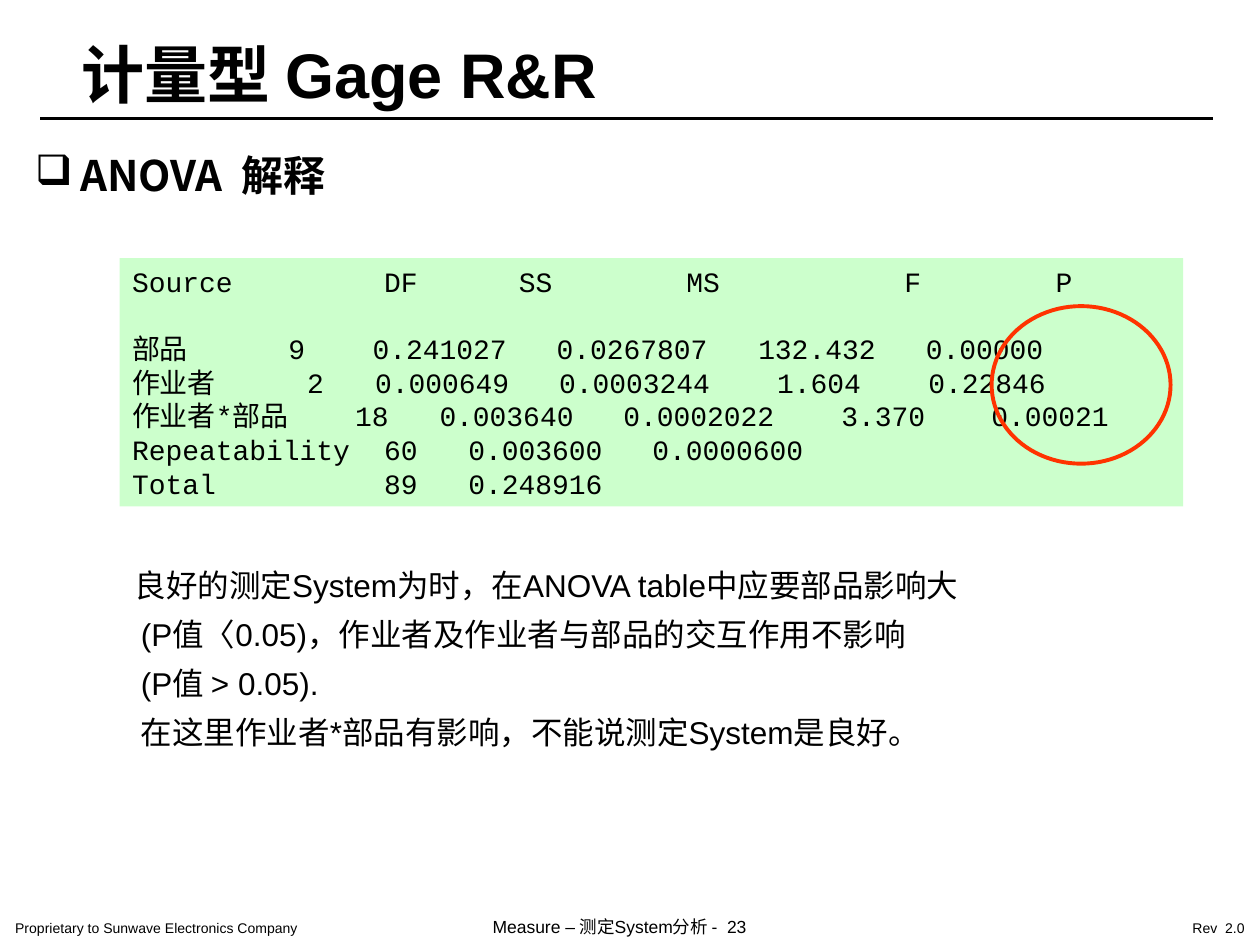
from dataclasses import dataclass

from lxml.etree import SubElement
from pptx import Presentation
from pptx.dml.color import RGBColor
from pptx.enum.shapes import MSO_CONNECTOR, MSO_SHAPE
from pptx.enum.text import MSO_ANCHOR, MSO_AUTO_SIZE, PP_ALIGN
from pptx.oxml.ns import qn
from pptx.util import Inches, Pt

SLIDE_WIDTH, SLIDE_HEIGHT = Inches(10), Inches(7.5)
CJK_FONT = "Noto Sans CJK SC"
BLACK, GREEN, RED = "000000", "CCFFCC", "FF3300"


@dataclass(frozen=True)
class Area:
    """A rectangle in percent of the slide's width and height."""
    left: float
    top: float
    width: float
    height: float

    def lengths(self) -> tuple[int, int, int, int]:
        return (across(self.left), down(self.top),
                across(self.width), down(self.height))


@dataclass(frozen=True)
class Style:
    font: str
    size: int
    bold: bool = False


@dataclass(frozen=True)
class Footer:
    text: str
    area: Area
    size: int
    alignment: PP_ALIGN = PP_ALIGN.LEFT


@dataclass(frozen=True)
class AnovaRow:
    cells: tuple[str, ...]
    stops: tuple[float, ...]  # tab stops in percent of the slide's width
    space_before: int = 0


def across(share: float) -> int:
    return round(SLIDE_WIDTH * share / 100)


def down(share: float) -> int:
    return round(SLIDE_HEIGHT * share / 100)


def color(value: str) -> RGBColor:
    return RGBColor.from_string(value)


def add_run(paragraph, text: str, style: Style) -> None:
    run = paragraph.add_run()
    run.text = text
    run.font.name, run.font.size, run.font.bold = style.font, Pt(style.size), style.bold
    run.font.color.rgb = color(BLACK)
    SubElement(run._r.get_or_add_rPr(), qn("a:ea"), typeface=CJK_FONT)


def set_indent(paragraph, margin: float, first_line: float = 0) -> None:
    properties = paragraph._p.get_or_add_pPr()
    properties.set("marL", str(across(margin)))
    properties.set("indent", str(across(first_line)))


def set_frame(frame, horizontal: float = 0.1, vertical: float = 0.05) -> None:
    frame.word_wrap = True
    frame.auto_size = MSO_AUTO_SIZE.NONE
    frame.vertical_anchor = MSO_ANCHOR.TOP
    frame.margin_left = frame.margin_right = Inches(horizontal)
    frame.margin_top = frame.margin_bottom = Inches(vertical)


def add_text_box(slide, area: Area, *margins: float):
    frame = slide.shapes.add_textbox(*area.lengths()).text_frame
    set_frame(frame, *margins)
    return frame


def next_paragraph(frame, index: int):
    return frame.add_paragraph() if index else frame.paragraphs[0]


def add_footer(slide, footer: Footer) -> None:
    paragraph = add_text_box(slide, footer.area, 0.12, 0.06).paragraphs[0]
    paragraph.alignment = footer.alignment
    add_run(paragraph, footer.text, Style("Arial", footer.size))


def add_anova_row(paragraph, row: AnovaRow) -> None:
    paragraph.alignment = PP_ALIGN.LEFT
    if row.space_before:
        paragraph.space_before = Pt(row.space_before)
    tab_list = SubElement(paragraph._p.get_or_add_pPr(), qn("a:tabLst"))
    for stop in row.stops:
        SubElement(tab_list, qn("a:tab"), pos=str(across(stop)), algn="l")
    add_run(paragraph, "\t".join(row.cells), Style("Courier New", 16))


FOOTERS = (
    Footer("Proprietary to Sunwave Electronics Company", Area(0, 96.53, 32.1, 3.33), 8),
    Footer("Measure – 测定System分析 -  23", Area(37.9, 96.13, 28.7, 3.87), 10),
    Footer("Rev  2.0", Area(85, 96.53, 15, 3.33), 8, PP_ALIGN.RIGHT),
)

ANOVA_ROWS = (
    AnovaRow(("Source", "DF", "SS", "MS", "F", "P"), (20, 30.7, 44, 61.3, 73.3)),
    AnovaRow(("部品", "9", "0.241027", "0.0267807", "132.432", "0.00000"),
             (12.4, 19.1, 33.7, 49.7, 63), space_before=19),
    AnovaRow(("作业者", "2", "0.000649", "0.0003244", "1.604", "0.22846"),
             (13.9, 19.3, 33.9, 51.2, 63.2)),
    AnovaRow(("作业者*部品", "18", "0.003640", "0.0002022", "3.370", "0.00021"),
             (17.7, 24.4, 39, 56.3, 68.2)),
    AnovaRow(("Repeatability", "60", "0.003600", "0.0000600"), (20, 26.7, 41.3)),
    AnovaRow(("Total", "89", "0.248916"), (20, 26.7)),
)

# Left indent in percent of the slide's width, then the line
EXPLANATION = (
    (2.3, "良好的测定System为时，在ANOVA table中应要部品影响大"),
    (2.8, "(P值〈0.05)，作业者及作业者与部品的交互作用不影响"),
    (2.8, "(P值 > 0.05)."),
    (2.8, "在这里作业者*部品有影响，不能说测定System是良好。"),
)


def main() -> None:
    presentation = Presentation()
    presentation.slide_width, presentation.slide_height = SLIDE_WIDTH, SLIDE_HEIGHT
    slide = presentation.slides.add_slide(presentation.slide_layouts[5])

    # Title and the rule below it
    title = slide.shapes.title
    title.left, title.top, title.width, title.height = Area(4.2, 3.07, 70.8, 7.73).lengths()
    set_frame(title.text_frame)
    paragraph = title.text_frame.paragraphs[0]
    paragraph.alignment = PP_ALIGN.LEFT
    set_indent(paragraph, 1.3)
    add_run(paragraph, "计量型 ", Style("Times New Roman", 36, True))
    add_run(paragraph, "Gage R&R", Style("Arial", 36, True))
    rule = slide.shapes.add_connector(MSO_CONNECTOR.STRAIGHT, across(3.2), down(12.53),
                                      across(96.3), down(12.53))
    rule.line.color.rgb, rule.line.width = color(BLACK), Pt(1.5)
    SubElement(rule._element.spPr, qn("a:effectLst"))

    # Heading with a box bullet
    paragraph = add_text_box(slide, Area(1.8, 15.2, 28.1, 6.67)).paragraphs[0]
    set_indent(paragraph, 3.6, -3.6)
    SubElement(paragraph._p.get_or_add_pPr(), qn("a:buChar"), char="❑")
    add_run(paragraph, "ANOVA  解释", Style(CJK_FONT, 24, True))

    # Explanation
    frame = add_text_box(slide, Area(7.4, 58, 78.3, 22.13))
    for index, (indent, text) in enumerate(EXPLANATION):
        paragraph = next_paragraph(frame, index)
        paragraph.line_spacing = 1.3
        set_indent(paragraph, indent)
        add_run(paragraph, text, Style("Arial", 18))

    # ANOVA listing
    panel = slide.shapes.add_shape(MSO_SHAPE.RECTANGLE, *Area(9.5, 27.33, 84.4, 26.27).lengths())
    panel.shadow.inherit = False
    panel.fill.solid()
    panel.fill.fore_color.rgb = color(GREEN)
    panel.line.fill.background()
    set_frame(panel.text_frame)
    panel.text_frame.vertical_anchor = MSO_ANCHOR.MIDDLE
    for index, row in enumerate(ANOVA_ROWS):
        add_anova_row(next_paragraph(panel.text_frame, index), row)

    # Ring around the P values
    ring = slide.shapes.add_shape(MSO_SHAPE.OVAL, *Area(78.7, 32.4, 14.2, 16.67).lengths())
    ring.shadow.inherit = False
    ring.fill.background()
    ring.line.color.rgb, ring.line.width = color(RED), Pt(2.25)

    # Footers
    for footer in FOOTERS:
        add_footer(slide, footer)

    presentation.save("out.pptx")


if __name__ == "__main__":
    main()
